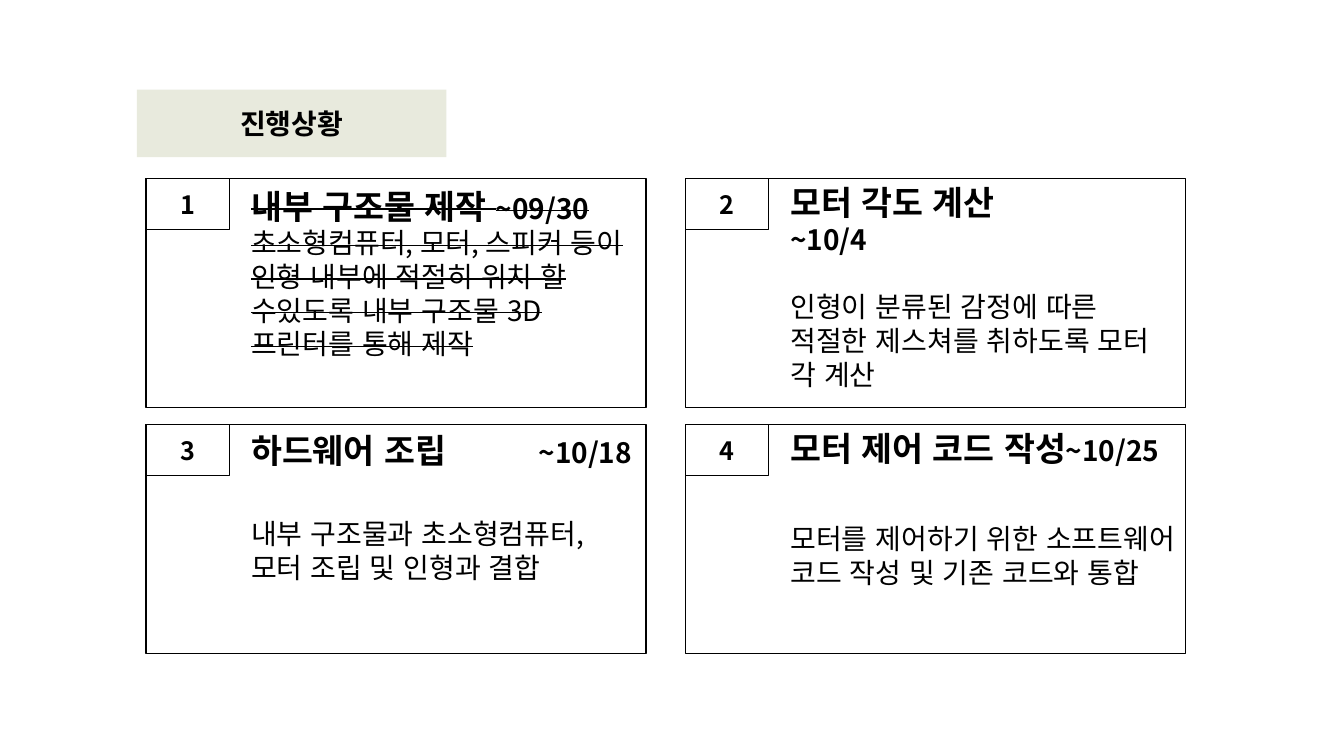
from lxml.etree import SubElement
from pptx import Presentation
from pptx.dml.color import RGBColor
from pptx.enum.lang import MSO_LANGUAGE_ID
from pptx.enum.shapes import MSO_SHAPE
from pptx.enum.text import MSO_ANCHOR, MSO_AUTO_SIZE, PP_ALIGN
from pptx.oxml.ns import qn
from pptx.util import Cm, Pt

BLACK = RGBColor(0, 0, 0)
WHITE = RGBColor(255, 255, 255)
SAGE = RGBColor(0xE8, 0xEA, 0xDD)
FONT = "Noto Sans CJK KR"

LEFT, TOP = 3.68, 4.5
STEP_X, STEP_Y = 13.59, 6.2
CARD_W, CARD_H = 12.6, 5.77
DATE_TAB = 9.6

CARDS = [
    dict(head="내부 구조물 제작 ", date="~09/30", gap=0, shift=0.05, high=7.44, strike=True,
         body="초소형컴퓨터, 모터, 스피커 등이 인형 내부에 적절히 위치 할 수있도록 내부 구조물 3D프린터를 통해 제작"),
    dict(head="모터 각도 계산\v", date="~10/4", gap=24, shift=-0.03, high=5.74,
         body="인형이 분류된 감정에 따른 적절한 제스쳐를 취하도록 모터 각 계산"),
    dict(head="하드웨어 조립\t", date="~10/18", gap=33.5, shift=0, high=6.07,
         body="내부 구조물과 초소형컴퓨터, 모터 조립 및 인형과 결합"),
    dict(head="모터 제어 코드 작성", date="~10/25", gap=38.5, shift=-0.05, high=6.25,
         body="모터를 제어하기 위한 소프트웨어 코드 작성 및 기존 코드와 통합"),
]


def write(para, text, size=20, bold=False, strike=False):
    for index, part in enumerate(text.split("\v")):
        if index:
            para.add_line_break()
        if not part:
            continue
        run = para.add_run()
        run.text = part
        font = run.font
        font.name, font.size, font.bold = FONT, Pt(size), bold
        font.color.rgb = BLACK
        font.language_id = MSO_LANGUAGE_ID.KOREAN
        props = run._r.get_or_add_rPr()
        SubElement(props, qn("a:ea"), typeface=FONT)
        if strike:
            props.set("strike", "sngStrike")


def add_tab(para, pos):
    tabs = SubElement(para._p.get_or_add_pPr(), qn("a:tabLst"))
    SubElement(tabs, qn("a:tab"), pos=str(Cm(pos)), algn="r")


class Board:
    def __init__(self, deck):
        self.slide = deck.slides.add_slide(deck.slide_layouts[5])

    def label(self, shape, text, size):
        frame = shape.text_frame
        frame.word_wrap = True
        frame.auto_size = MSO_AUTO_SIZE.NONE
        frame.vertical_anchor = MSO_ANCHOR.MIDDLE
        para = frame.paragraphs[0]
        para.alignment = PP_ALIGN.CENTER
        write(para, text, size=size, bold=True)

    def title(self, text):
        shape = self.slide.shapes.title
        shape.left, shape.top = Cm(3.45), Cm(2.26)
        shape.width, shape.height = Cm(7.8), Cm(1.7)
        shape.fill.solid()
        shape.fill.fore_color.rgb = SAGE
        self.label(shape, text, 20)

    def box(self, x, y, w, h):
        shape = self.slide.shapes.add_shape(MSO_SHAPE.RECTANGLE, Cm(x), Cm(y), Cm(w), Cm(h))
        shape.shadow.inherit = False
        shape.fill.solid()
        shape.fill.fore_color.rgb = WHITE
        shape.line.color.rgb = BLACK
        shape.line.width = Pt(1)
        return shape

    def note(self, x, y, head, date, body, gap, high, strike=False):
        shape = self.slide.shapes.add_textbox(Cm(x), Cm(y), Cm(10.2), Cm(high))
        frame = shape.text_frame
        frame.word_wrap = True
        top = frame.paragraphs[0]
        if "\t" in head:
            add_tab(top, DATE_TAB)
        write(top, head, size=24, bold=True, strike=strike)
        write(top, date, bold=True, strike=strike)
        para = frame.add_paragraph()
        para.space_before = Pt(gap)
        write(para, body, strike=strike)

    def card(self, index, shift, **text):
        row, col = divmod(index, 2)
        x, y = LEFT + col * STEP_X, TOP + row * STEP_Y
        self.box(x, y, CARD_W, CARD_H)
        self.label(self.box(x, y, 2.1, 1.28), str(index + 1), 18)
        self.note(x + 2.4, y + shift, **text)


def main():
    deck = Presentation()
    deck.slide_width, deck.slide_height = Cm(33.87), Cm(19.05)
    board = Board(deck)
    board.title("진행상황")
    for index, card in enumerate(CARDS):
        board.card(index, **card)
    deck.save("out.pptx")


if __name__ == "__main__":
    main()
